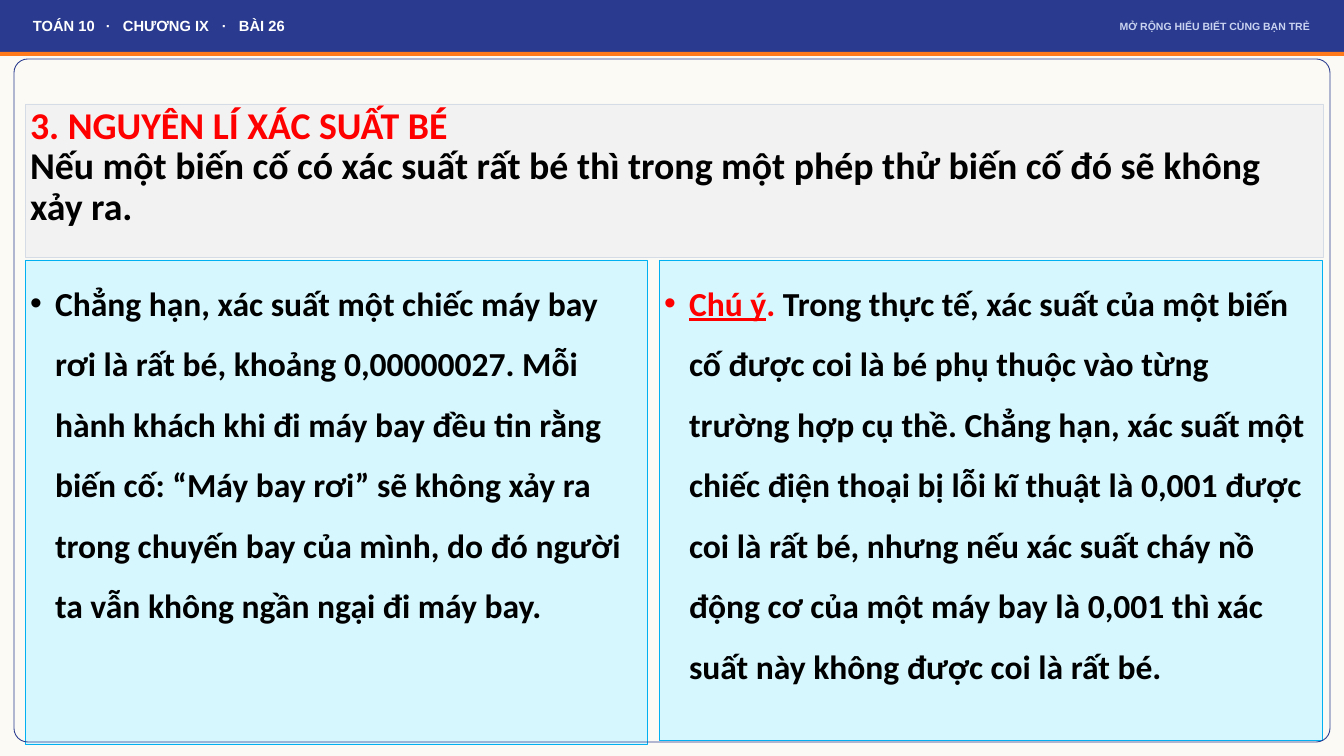
import pptx
import pptx.dml.color
import pptx.enum.shapes
import pptx.enum.text
import pptx.oxml.ns
import pptx.util
from lxml import etree

SHAPE = pptx.enum.shapes.MSO_SHAPE
ALIGN = pptx.enum.text.PP_ALIGN
ANCHOR = pptx.enum.text.MSO_ANCHOR

EMU_PER_PX = 914400 / 50.4
WIDTH, HEIGHT = 1344, 756
BAR_HEIGHT, STRIPE_HEIGHT = 52, 4
INSET_X, INSET_Y = 5, 2.5
BULLET_INDENT = 25

COLORS = {
    "paper": "FBFAF4", "navy": "2A3B8F", "orange": "FF7A1A",
    "title_fill": "F2F2F2", "title_line": "D6DCE5",
    "panel_fill": "D6F7FE", "panel_line": "00B0F0",
    "red": "FF0000", "black": "000000", "white": "FFFFFF", "pale": "CAD3F0",
}

# Each paragraph is a list of (text, color, underlined) runs.
TITLE_BOX = (25, 104, 1298, 153)
TITLE = [
    [("3. NGUYÊN LÍ XÁC SUẤT BÉ", "red", False)],
    [("Nếu một biến cố có xác suất rất bé thì trong một phép thử biến cố đó "
      "sẽ không xảy ra.", "black", False)],
]
PANELS = [
    ((25, 260, 622, 484), [
        ("Chẳng hạn, xác suất một chiếc máy bay rơi là rất bé, khoảng 0,00000027. "
         "Mỗi hành khách khi đi máy bay đều tin rằng biến cố: “Máy bay rơi” sẽ không "
         "xảy ra trong chuyến bay của mình, do đó người ta vẫn không ngần ngại đi "
         "máy bay.", "black", False),
    ]),
    ((659, 260, 663, 480), [
        ("Chú ý", "red", True),
        (". ", "red", False),
        ("Trong thực tế, xác suất của một biến cố được coi là bé phụ thuộc vào từng "
         "trường hợp cụ thề. Chẳng hạn, xác suất một chiếc điện thoại bị lỗi kĩ thuật "
         "là 0,001 được coi là rất bé, nhưng nếu xác suất cháy nồ động cơ của một máy "
         "bay là 0,001 thì xác suất này không được coi là rất bé.", "black", False),
    ]),
]
FRAME_BOX = (14, 59, 1316, 683)
# box, text, color, size, alignment, tab stops
HEADERS = [
    ((28, 0, 655, BAR_HEIGHT), "TOÁN 10\t·\tCHƯƠNG IX\t·\tBÀI 26", "white", 21,
     ALIGN.LEFT, (73, 90, 189, 206)),
    ((655, 0, 660, BAR_HEIGHT), "MỞ RỘNG HIỂU BIẾT CÙNG BẠN TRẺ", "pale", 15,
     ALIGN.RIGHT, ()),
]


def px(value):
    return pptx.util.Emu(round(value * EMU_PER_PX))


def rgb(name):
    return pptx.dml.color.RGBColor.from_string(COLORS[name])


def paint(shape, fill=None, line=None, line_width=0.75):
    if fill:
        shape.fill.solid()
        shape.fill.fore_color.rgb = rgb(fill)
    else:
        shape.fill.background()
    if line:
        shape.line.color.rgb = rgb(line)
        shape.line.width = pptx.util.Pt(line_width)
    else:
        shape.line.fill.background()


def add_box(slide, kind, box, **style):
    shape = slide.shapes.add_shape(kind, *map(px, box))
    shape.shadow.inherit = False
    paint(shape, **style)
    return shape


def set_frame(frame, anchor, inset_y):
    frame.word_wrap = True
    frame.auto_size = pptx.enum.text.MSO_AUTO_SIZE.NONE
    frame.vertical_anchor = anchor
    frame.margin_left = frame.margin_right = px(INSET_X)
    frame.margin_top = frame.margin_bottom = px(inset_y)


def write_runs(paragraph, runs, font_name, size, alignment=ALIGN.LEFT):
    paragraph.alignment = alignment
    for text, color, underlined in runs:
        run = paragraph.add_run()
        run.text = text
        run.font.name = font_name
        run.font.size = pptx.util.Pt(size)
        run.font.bold = True
        run.font.color.rgb = rgb(color)
        if underlined:
            run.font.underline = True


def add_property(parent, tag, **attributes):
    return etree.SubElement(parent, pptx.oxml.ns.qn(tag), attributes)


def add_title(slide):
    title = slide.shapes.title
    title.left, title.top, title.width, title.height = map(px, TITLE_BOX)
    paint(title, fill="title_fill", line="title_line")
    frame = title.text_frame
    set_frame(frame, ANCHOR.TOP, INSET_Y)
    for index, runs in enumerate(TITLE):
        paragraph = frame.add_paragraph() if index else frame.paragraphs[0]
        paragraph.line_spacing = 0.9
        write_runs(paragraph, runs, "Calibri", 54)


def add_panel(slide, box, runs):
    panel = add_box(slide, SHAPE.RECTANGLE, box, fill="panel_fill", line="panel_line")
    set_frame(panel.text_frame, ANCHOR.TOP, INSET_Y)
    paragraph = panel.text_frame.paragraphs[0]
    paragraph.line_spacing = 1.5
    properties = paragraph._p.get_or_add_pPr()
    properties.set("marL", str(px(BULLET_INDENT)))
    properties.set("indent", str(-px(BULLET_INDENT)))
    add_property(properties, "a:buFont", typeface="Arial")
    add_property(properties, "a:buChar", char="•")
    write_runs(paragraph, runs, "Calibri", 48)


def add_header(slide, box, text, color, size, alignment, tab_stops):
    frame = slide.shapes.add_textbox(*map(px, box)).text_frame
    set_frame(frame, ANCHOR.MIDDLE, 0)
    paragraph = frame.paragraphs[0]
    if tab_stops:
        tab_list = add_property(paragraph._p.get_or_add_pPr(), "a:tabLst")
        for stop in tab_stops:
            add_property(tab_list, "a:tab", pos=str(px(stop)), algn="l")
    write_runs(paragraph, [(text, color, False)], "Arial", size, alignment)


def main():
    presentation = pptx.Presentation()
    presentation.slide_width, presentation.slide_height = px(WIDTH), px(HEIGHT)
    slide = presentation.slides.add_slide(presentation.slide_layouts[5])
    slide.background.fill.solid()
    slide.background.fill.fore_color.rgb = rgb("paper")

    add_title(slide)
    for box, runs in PANELS:
        add_panel(slide, box, runs)
    frame = add_box(slide, SHAPE.ROUNDED_RECTANGLE, FRAME_BOX, line="navy", line_width=1.25)
    frame.adjustments[0] = 0.02
    add_box(slide, SHAPE.RECTANGLE, (0, 0, WIDTH, BAR_HEIGHT), fill="navy")
    add_box(slide, SHAPE.RECTANGLE, (0, BAR_HEIGHT, WIDTH, STRIPE_HEIGHT), fill="orange")
    for header in HEADERS:
        add_header(slide, *header)

    presentation.save("out.pptx")


if __name__ == "__main__":
    main()
